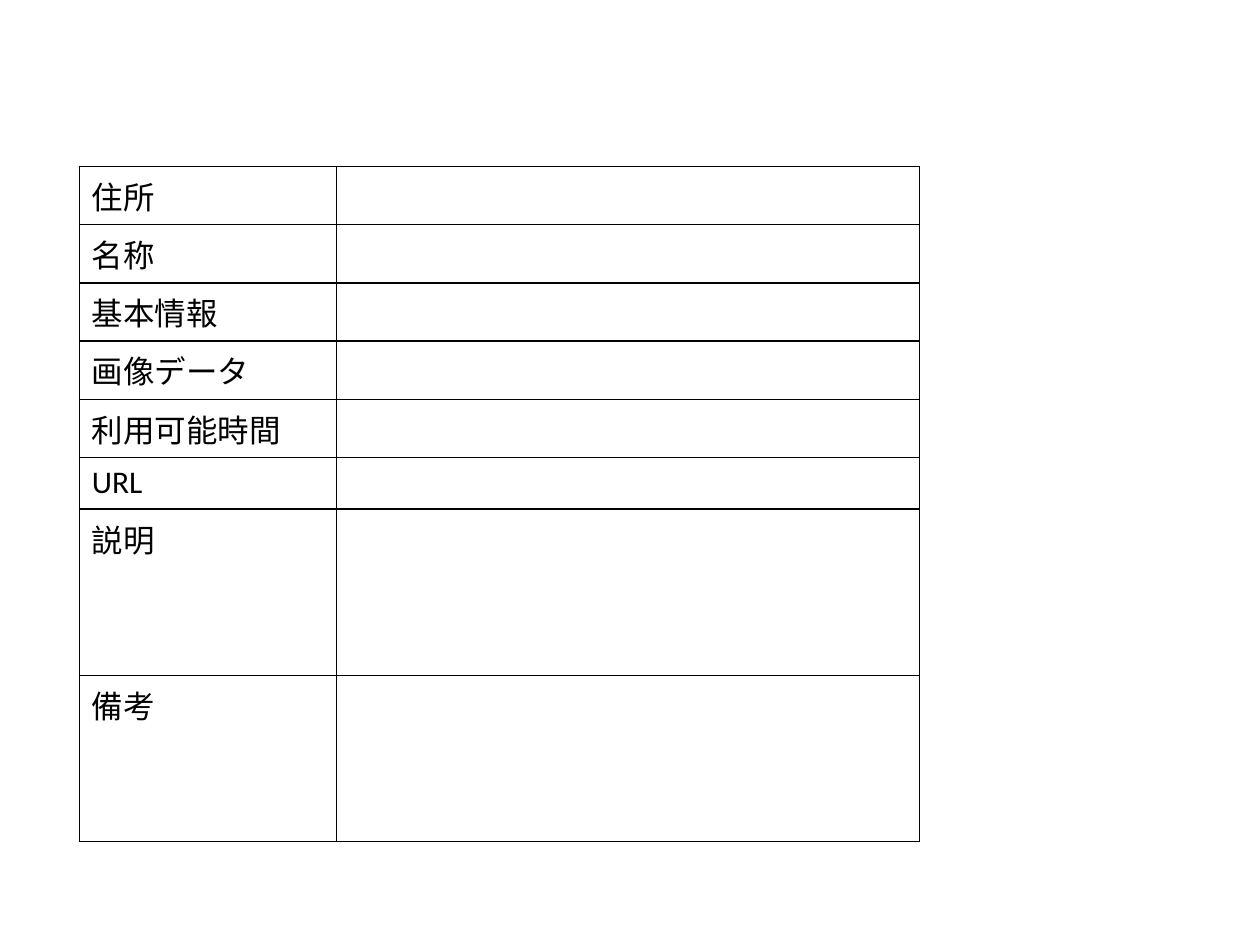
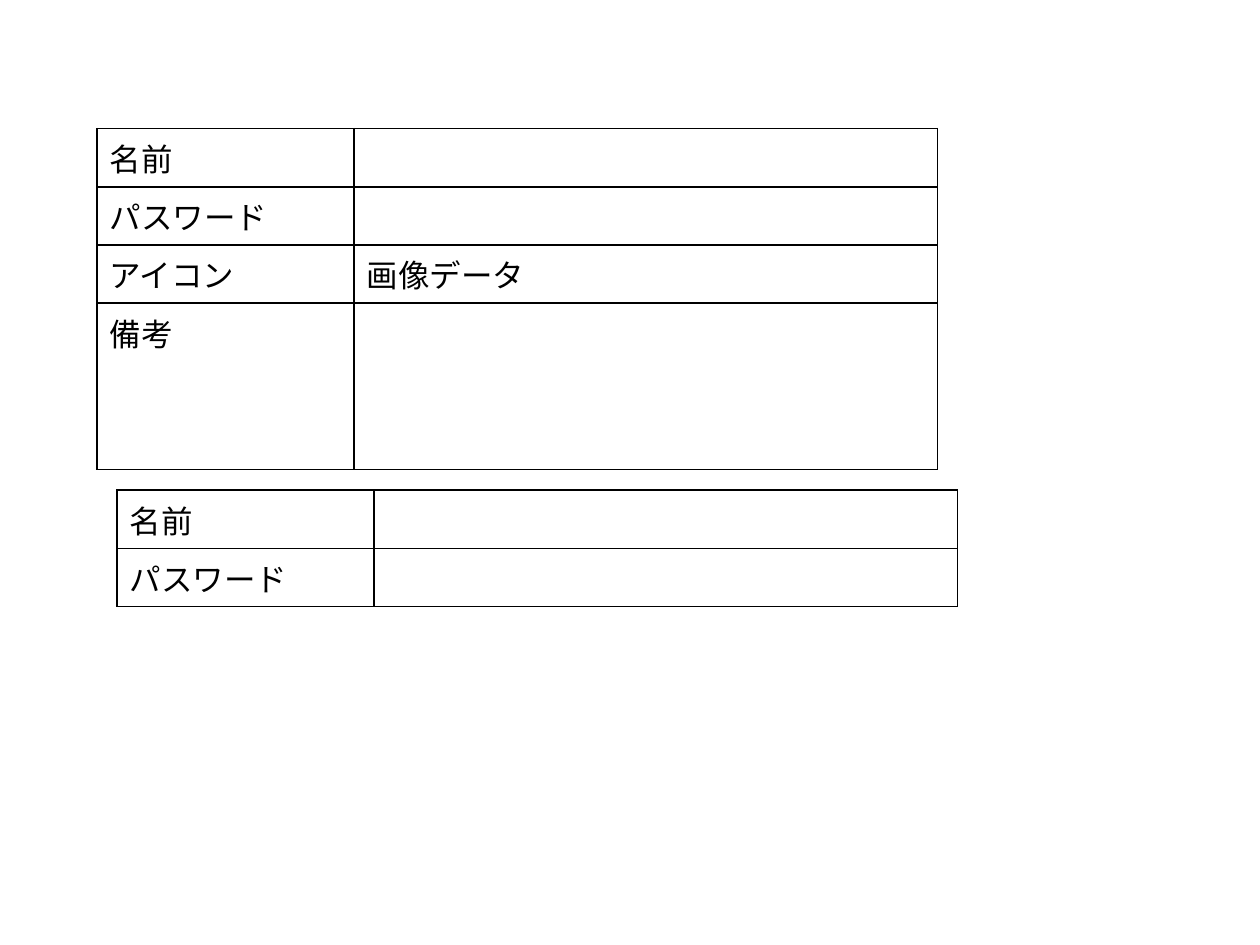
from lxml import etree
from pptx import Presentation
from pptx.dml.color import RGBColor
from pptx.oxml.ns import qn
from pptx.util import Inches, Pt

# Content: one list of tables per slide, each row is label, value, height
LINE, BOX = 0.41, 1.32
LOGIN_ROWS = [("名前", "", LINE), ("パスワード", "", LINE)]
SLIDES = [
    [
        {"at": (0.63, 1.32), "rows": [
            ("住所", "", LINE),
            ("名称", "", LINE),
            ("基本情報", "", LINE),
            ("画像データ", "", LINE),
            ("利用可能時間", "", LINE),
            ("URL", "", LINE),
            ("説明", "", BOX),
            ("備考", "", BOX),
        ]},
    ],
    [
        {"at": (0.77, 1.02), "rows": LOGIN_ROWS + [
            ("アイコン", "画像データ", LINE),
            ("備考", "", BOX),
        ]},
        {"at": (0.93, 3.89), "rows": LOGIN_ROWS},
    ],
]

# Shared style
COLUMNS = (2.04, 4.63)
INK = "000000"
FONT = "Calibri"


def rgb(color):
    return RGBColor.from_string(color)


def write(cell, content, size=18, color=INK, font=FONT):
    p = cell.text_frame.paragraphs[0]
    p.font.size = Pt(size)
    if content:
        r = p.add_run()
        r.text = content
        r.font.size = Pt(size)
        r.font.name = font
        r.font.color.rgb = rgb(color)


def add_borders(cell, color=INK, width=1):
    props = cell._tc.get_or_add_tcPr()
    for side in ("a:lnL", "a:lnR", "a:lnT", "a:lnB"):
        ln = etree.SubElement(props, qn(side), w=str(Pt(width)))
        fill = etree.SubElement(ln, qn("a:solidFill"))
        etree.SubElement(fill, qn("a:srgbClr"), val=color)


def add_form(slide, at, rows):
    left, top = at
    height = sum(row[-1] for row in rows)
    frame = slide.shapes.add_table(
        len(rows), len(COLUMNS), Inches(left), Inches(top),
        Inches(sum(COLUMNS)), Inches(height))
    table = frame.table
    table.first_row = table.horz_banding = False
    for column, width in zip(table.columns, COLUMNS):
        column.width = Inches(width)
    for row, (label, value, row_height) in zip(table.rows, rows):
        row.height = Inches(row_height)
        for cell, content in zip(row.cells, (label, value)):
            write(cell, content)
            add_borders(cell)
            cell.fill.background()


def main():
    prs = Presentation()
    prs.slide_width, prs.slide_height = Inches(10), Inches(7.5)
    for forms in SLIDES:
        slide = prs.slides.add_slide(prs.slide_layouts[6])
        for form in forms:
            add_form(slide, **form)
    prs.save("out.pptx")


if __name__ == "__main__":
    main()
